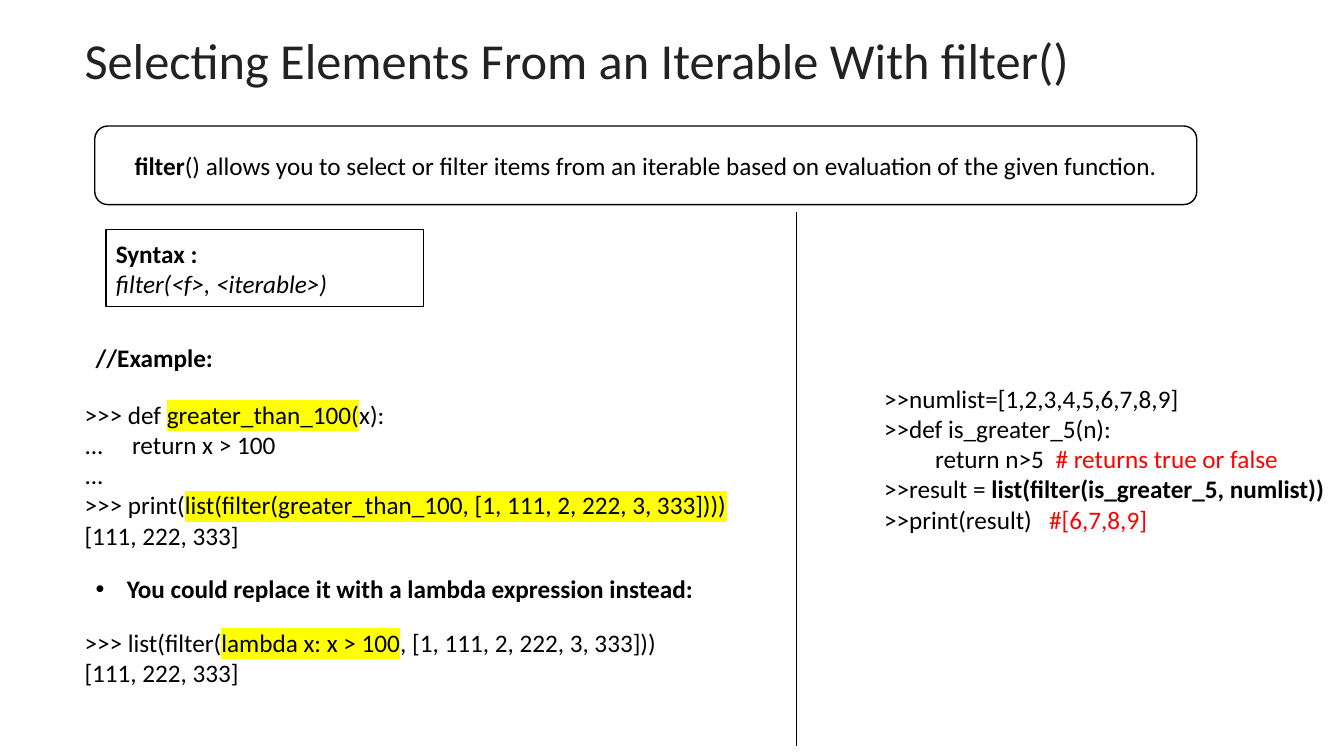
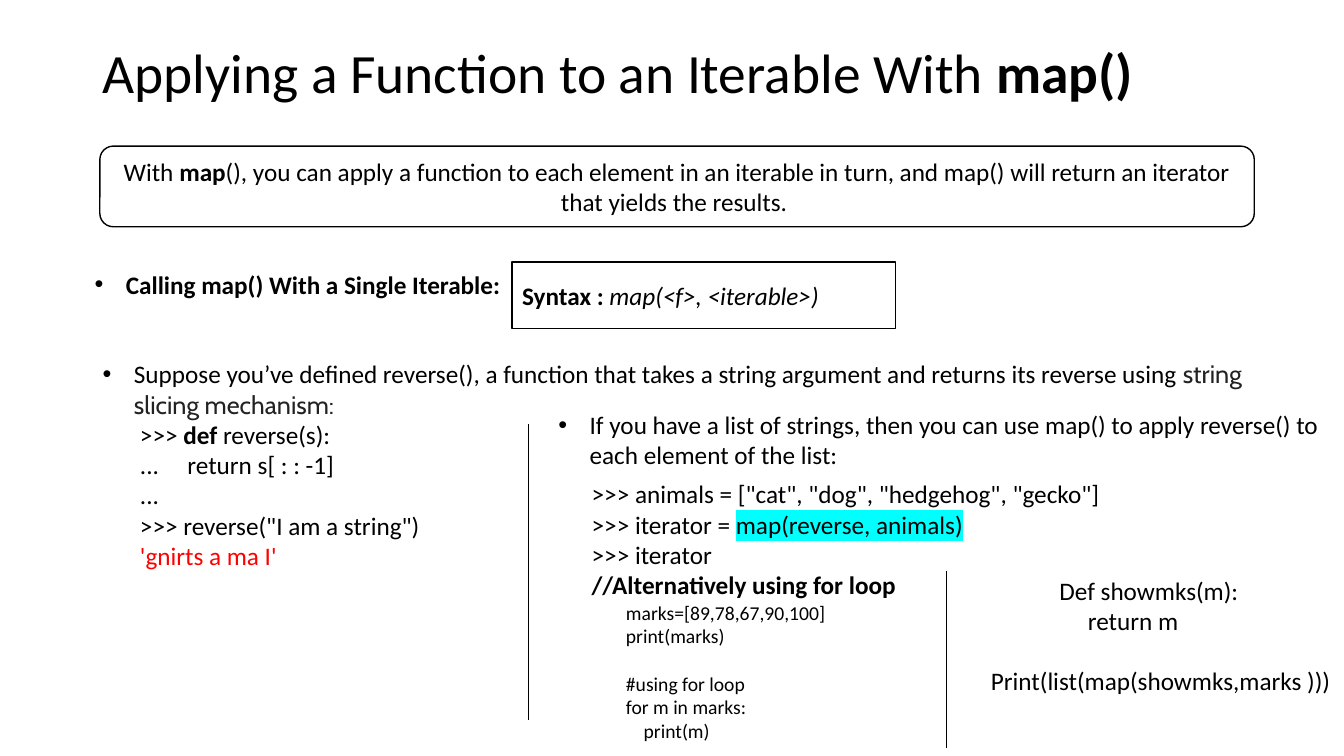
from dataclasses import dataclass
from typing import NamedTuple, Optional, Union

from lxml import etree
from pptx import Presentation
from pptx.dml.color import RGBColor
from pptx.enum.shapes import MSO_CONNECTOR, MSO_SHAPE
from pptx.enum.text import MSO_ANCHOR, PP_ALIGN
from pptx.oxml.ns import qn
from pptx.util import Inches, Pt

TOP, MIDDLE = MSO_ANCHOR.TOP, MSO_ANCHOR.MIDDLE
LEFT, CENTER = PP_ALIGN.LEFT, PP_ALIGN.CENTER
RECT, ROUNDED = MSO_SHAPE.RECTANGLE, MSO_SHAPE.ROUNDED_RECTANGLE
STRAIGHT = MSO_CONNECTOR.STRAIGHT

# Shared style
FONT, ACCENT_FONT = "Calibri", "Cabin"
BLACK, WHITE, DARK, RED = "000000", "FFFFFF", "222222", "FF0000"
YELLOW, CYAN = "FFFF00", "00FFFF"
BODY_SIZE, SMALL_SIZE = 18, 14
BULLET_INDENT = Inches(0.31)


class Run(NamedTuple):
    text: str
    bold: bool = False
    italic: bool = False
    color: Optional[str] = None
    highlight: Optional[str] = None
    font: Optional[str] = None


Line = list[Union[str, Run]]


class Box(NamedTuple):
    left: float
    top: float
    width: float
    height: float


@dataclass
class TextStyle:
    size: float = BODY_SIZE
    color: str = BLACK
    anchor: MSO_ANCHOR = TOP
    align: PP_ALIGN = LEFT
    wrap: bool = True
    bullet: bool = False
    line_spacing: Optional[float] = None


@dataclass
class TextBlock:
    box: Box
    lines: list[Line]
    style: TextStyle


CODE = TextStyle()
UNWRAPPED = TextStyle(wrap=False)
SMALL_CODE = TextStyle(size=SMALL_SIZE)
BULLET = TextStyle(bullet=True)
BULLET_HEADING = TextStyle(bullet=True, wrap=False)
SUMMARY = TextStyle(anchor=MIDDLE, align=CENTER)
SYNTAX = TextStyle(anchor=MIDDLE)


def rgb(value: str) -> RGBColor:
    return RGBColor.from_string(value)


def add_run(p, item: Union[str, Run]) -> None:
    run = Run(item) if isinstance(item, str) else item
    r = p.add_run()
    r.text = run.text
    if run.bold:
        r.font.bold = True
    if run.italic:
        r.font.italic = True
    if run.color:
        r.font.color.rgb = rgb(run.color)
    if run.highlight:
        mark = etree.SubElement(r.font._element, qn("a:highlight"))
        etree.SubElement(mark, qn("a:srgbClr"), val=run.highlight)
    if run.font:
        r.font.name = run.font


def add_bullet(p) -> None:
    props = p._p.get_or_add_pPr()
    props.set("marL", str(BULLET_INDENT))
    props.set("indent", str(-BULLET_INDENT))
    etree.SubElement(props, qn("a:buFont"), typeface="Arial")
    etree.SubElement(props, qn("a:buChar"), char="•")


def write_text(tf, lines: list[Line], style: TextStyle) -> None:
    tf.word_wrap = style.wrap
    tf.vertical_anchor = style.anchor
    for i, line in enumerate(lines):
        p = tf.paragraphs[0] if i == 0 else tf.add_paragraph()
        p.alignment = style.align
        if style.line_spacing:
            p.line_spacing = style.line_spacing
        if style.bullet:
            add_bullet(p)
        p.font.size = Pt(style.size)
        p.font.name = FONT
        p.font.color.rgb = rgb(style.color)
        for item in line:
            add_run(p, item)


def add_text(s, box: Box, lines: list[Line], style: TextStyle = CODE):
    sp = s.shapes.add_textbox(*map(Inches, box))
    write_text(sp.text_frame, lines, style)
    return sp


def add_frame(s, shape: MSO_SHAPE, box: Box, lines: list[Line], style: TextStyle) -> None:
    sp = s.shapes.add_shape(shape, *map(Inches, box))
    sp.shadow.inherit = False
    sp.fill.solid()
    sp.fill.fore_color.rgb = rgb(WHITE)
    sp.line.color.rgb = rgb(BLACK)
    sp.line.width = Pt(1)
    write_text(sp.text_frame, lines, style)


def add_divider(s, x: float, top: float, bottom: float) -> None:
    line = s.shapes.add_connector(STRAIGHT, Inches(x), Inches(top), Inches(x), Inches(bottom))
    line.line.color.rgb = rgb(BLACK)
    line.line.width = Pt(0.5)
    etree.SubElement(line._element.spPr, qn("a:effectLst"))


def add_slide(prs, title: TextBlock, summary: TextBlock, syntax: TextBlock):
    """Blank slide with the title, rounded summary and syntax frame."""
    s = prs.slides.add_slide(prs.slide_layouts[6])
    add_text(s, title.box, title.lines, title.style)
    add_frame(s, ROUNDED, summary.box, summary.lines, summary.style)
    add_frame(s, RECT, syntax.box, syntax.lines, syntax.style)
    return s


def build_filter_slide(prs) -> None:
    s = add_slide(
        prs,
        TextBlock(Box(0.74, 0.24, 10.27, 1.01),
                  [["Selecting Elements From an Iterable With filter()"]],
                  TextStyle(size=36, color=DARK, wrap=False)),
        TextBlock(Box(0.94, 1.25, 10.93, 0.78),
                  [[Run("filter", bold=True),
                    "() allows you to select or filter items from an iterable "
                    "based on evaluation of the given function."]],
                  SUMMARY),
        TextBlock(Box(1.05, 2.28, 3.15, 0.76),
                  [[Run("Syntax :", bold=True)],
                   [Run("filter(<f>, <iterable>)", italic=True)]],
                  SYNTAX),
    )

    # Named function, then lambda
    add_text(s, Box(0.85, 3.35, 1.38, 0.4), [[Run("//Example:", bold=True)]], UNWRAPPED)
    add_text(s, Box(0.74, 3.91, 6.67, 1.62), [
        [">>> def ", Run("greater_than_100(", highlight=YELLOW), "x):"],
        ["...     return x > 100"],
        ["..."],
        [">>> print(",
         Run("list(filter(greater_than_100, [1, 111, 2, 222, 3, 333])))", highlight=YELLOW)],
        ["[111, 222, 333]"],
    ])
    add_text(s, Box(0.85, 5.64, 6.18, 0.4),
             [[Run("You could replace it with a lambda expression instead:", bold=True)]],
             BULLET_HEADING)
    add_text(s, Box(0.74, 6.17, 6.67, 0.71), [
        [">>> list(filter(", Run("lambda x: x > 100", highlight=YELLOW),
         ", [1, 111, 2, 222, 3, 333]))"],
        ["[111, 222, 333]"],
    ])

    # Second example
    add_text(s, Box(8.67, 3.75, 4.67, 1.62), [
        [">>numlist=[1,2,3,4,5,6,7,8,9]"],
        [">>def is_greater_5(n):"],
        ["         return n>5  ", Run("# returns true or false", color=RED)],
        [">>result = ", Run("list(filter(is_greater_5, numlist))", bold=True)],
        [">>print(result)   ", Run("#[6,7,8,9]", color=RED)],
    ])
    add_divider(s, 7.9, 2.1, 7.4)


def build_map_slide(prs) -> None:
    s = add_slide(
        prs,
        TextBlock(Box(0.92, 0.4, 11.21, 0.7),
                  [["Applying a Function to an Iterable With ", Run("map()", bold=True)]],
                  TextStyle(size=39.6, anchor=MIDDLE, line_spacing=0.9)),
        TextBlock(Box(0.99, 1.45, 11.45, 0.8),
                  [["With ", Run("map", bold=True),
                    "(), you can apply a function to each element in an iterable in turn, "
                    "and map() will return an iterator that yields the results. "]],
                  SUMMARY),
        TextBlock(Box(5.08, 2.6, 3.8, 0.66),
                  [[Run("Syntax : ", bold=True), Run("map(<f>, <iterable>)", italic=True)]],
                  SYNTAX),
    )

    # Function to apply
    add_text(s, Box(0.84, 2.62, 4.26, 0.4),
             [[Run("Calling map() With a Single Iterable:", bold=True)]], BULLET_HEADING)
    add_text(s, Box(0.92, 3.51, 11.89, 0.71), [[
        "Suppose you’ve defined reverse(), a function that takes a string argument "
        "and returns its reverse using ",
        Run("string slicing mechanism:", color=DARK, font=ACCENT_FONT),
    ]], BULLET)
    add_text(s, Box(1.29, 4.11, 3.36, 1.62), [
        [">>> ", Run("def", bold=True), " reverse(s):"],
        ["...     return s[ : : -1]"],
        ["..."],
        ['>>> reverse("I am a string")'],
        [Run("'gnirts a ma I'", color=RED)],
    ])
    add_divider(s, 5.24, 4.21, 7.14)

    # Applying it to a list
    add_text(s, Box(5.44, 4.01, 7.75, 0.71), [[
        "If you have a list of strings, then you can use map() to apply reverse() "
        "to each element of the list:",
    ]], BULLET)
    add_text(s, Box(5.77, 4.7, 6.67, 1.31), [
        ['>>> animals = ["cat", "dog", "hedgehog", "gecko"]'],
        [">>> iterator = ", Run("map(reverse, animals)", highlight=CYAN)],
        [">>> iterator"],
        [Run("//Alternatively using for loop", bold=True)],
    ])

    # Loop and its map equivalent
    loop = add_text(s, Box(6.11, 5.91, 2.58, 1.51), [
        ["marks=[89,78,67,90,100]"],
        ["print(marks)"],
        ["#using for loop"],
        ["for m in marks:"],
        ["    print(m)"],
    ], SMALL_CODE)
    loop.text_frame.paragraphs[2].space_before = Pt(17)
    add_divider(s, 9.39, 5.66, 7.42)
    add_text(s, Box(10.41, 5.66, 2, 0.71),
             [["Def showmks(m):"], ["     return m"]], UNWRAPPED)
    add_text(s, Box(9.73, 6.55, 3.6, 0.4), [["Print(list(map(showmks,marks )))"]], UNWRAPPED)


def main() -> None:
    prs = Presentation()
    prs.slide_width, prs.slide_height = Inches(13.33), Inches(7.5)
    build_filter_slide(prs)
    build_map_slide(prs)
    prs.save("out.pptx")


if __name__ == "__main__":
    main()
